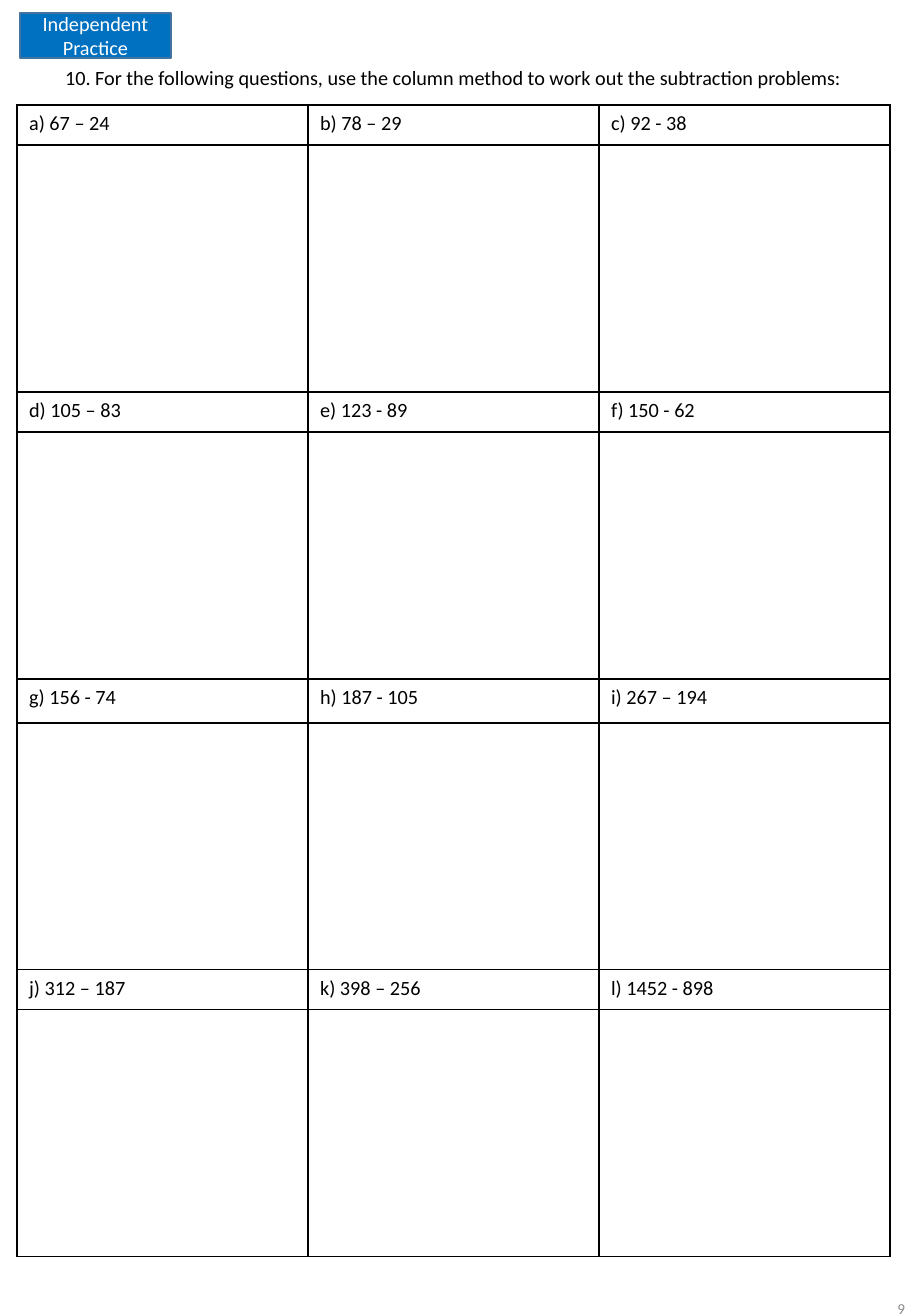
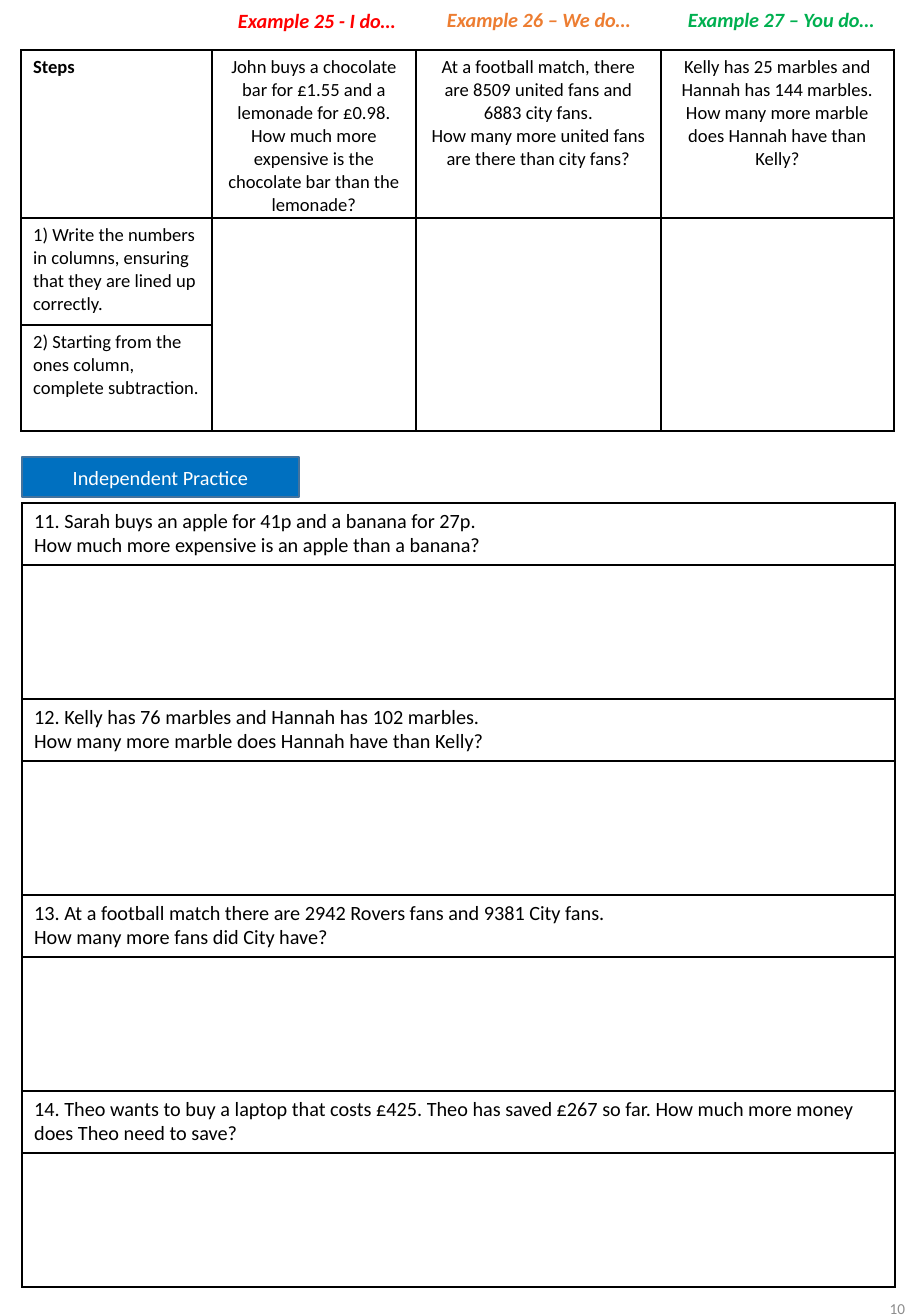
"""Builds two subtraction worksheets: column method practice and word problems."""
from lxml import etree
from pptx import Presentation
from pptx import util as u
from pptx.dml.color import RGBColor
from pptx.enum import shapes, text
from pptx.oxml import ns

PX = 7526
FONT = "Calibri"
BLACK, WHITE, GREY = "000000", "FFFFFF", "8C8C8C"
BLUE, BLUE_EDGE = "0070C0", "43739E"
RED, ORANGE, GREEN = "FF0000", "ED7D31", "00B050"
LEFT, CENTER, RIGHT = text.PP_ALIGN.LEFT, text.PP_ALIGN.CENTER, text.PP_ALIGN.RIGHT


def write(frame, words, size=12, color=BLACK, bold=False, italic=False, align=LEFT):
    """Write one paragraph per line of words."""
    frame.word_wrap = True
    for index, line in enumerate(words.split("\n")):
        paragraph = frame.paragraphs[0] if index == 0 else frame.add_paragraph()
        paragraph.alignment = align
        run = paragraph.add_run()
        run.text = line
        font = run.font
        font.name, font.size = FONT, u.Pt(size)
        font.bold, font.italic = bold, italic
        font.color.rgb = RGBColor.from_string(color)


def add_grid(slide, left, top, widths, heights, open_rows=0):
    """Add a white table ruled in black; open rows keep only their bottom rule."""
    frame = slide.shapes.add_table(len(heights), len(widths), left * PX, top * PX,
                                   sum(widths) * PX, sum(heights) * PX)
    table = frame.table
    table.first_row = table.horz_banding = False
    for column, width in zip(table.columns, widths):
        column.width = width * PX
    for number, (row, height) in enumerate(zip(table.rows, heights)):
        row.height = height * PX
        for cell in row.cells:
            properties = cell._tc.get_or_add_tcPr()
            for side in "LRTB":
                rule = etree.SubElement(properties, ns.qn("a:ln" + side), w=str(u.Pt(1)))
                if number < open_rows and side != "B":
                    etree.SubElement(rule, ns.qn("a:noFill"))
                else:
                    fill = etree.SubElement(rule, ns.qn("a:solidFill"))
                    etree.SubElement(fill, ns.qn("a:srgbClr"), val=BLACK)
            cell.fill.solid()
            cell.fill.fore_color.rgb = RGBColor.from_string(WHITE)
    return table


presentation = Presentation()
presentation.slide_width, presentation.slide_height = 911 * PX, 1316 * PX

slides = []
for page, button_box in (("9", (20, 13, 151, 45)), ("10", (22, 457, 277, 40))):
    slide = presentation.slides.add_slide(presentation.slide_layouts[6])
    slides.append(slide)

    page_number = slide.shapes.add_textbox(712 * PX, 1273 * PX, 205 * PX, 70 * PX)
    page_number.text_frame.vertical_anchor = text.MSO_ANCHOR.MIDDLE
    write(page_number.text_frame, page, size=9, color=GREY, align=RIGHT)

    button = slide.shapes.add_shape(shapes.MSO_SHAPE.RECTANGLE,
                                    *(length * PX for length in button_box))
    button.shadow.inherit = False
    button.fill.solid()
    button.fill.fore_color.rgb = RGBColor.from_string(BLUE)
    button.line.color.rgb = RGBColor.from_string(BLUE_EDGE)
    button.line.width = u.Pt(1)
    button.text_frame.vertical_anchor = text.MSO_ANCHOR.MIDDLE
    write(button.text_frame, "Independent Practice", color=WHITE, align=CENTER)

column_slide, word_slide = slides

subtractions = [
    ("a) 67 – 24", "b) 78 – 29", "c) 92 - 38"),
    ("d) 105 – 83", "e) 123 - 89", "f) 150 - 62"),
    ("g) 156 - 74", "h) 187 - 105", "i) 267 – 194"),
    ("j) 312 – 187", "k) 398 – 256", "l) 1452 - 898"),
]
heights = [45]
for label_height in (40, 40, 44, 40):
    heights += [label_height, 247]
practice = add_grid(column_slide, 17, 60, [291] * 3, heights, open_rows=1)
practice.cell(0, 0).merge(practice.cell(0, 2))
write(practice.cell(0, 0).text_frame,
      "10. For the following questions, use the column method to work out "
      "the subtraction problems:", align=CENTER)
for index, labels in enumerate(subtractions):
    for column, label in enumerate(labels):
        write(practice.cell(1 + 2 * index, column).text_frame, label)

problems = [
    "11. Sarah buys an apple for 41p and a banana for 27p.\n"
    "How much more expensive is an apple than a banana?",
    "12. Kelly has 76 marbles and Hannah has 102 marbles.\n"
    "How many more marble does Hannah have than Kelly?",
    "13. At a football match there are 2942 Rovers fans and 9381 City fans.\n"
    "How many more fans did City have?",
    "14. Theo wants to buy a laptop that costs £425. Theo has saved £267 so far. "
    "How much more money does Theo need to save?",
]
problem_grid = add_grid(word_slide, 22, 503, [873], [62, 134] * len(problems))
for index, problem in enumerate(problems):
    write(problem_grid.cell(2 * index, 0).text_frame, problem)

examples = [
    "John buys a chocolate bar for £1.55 and a lemonade for £0.98.\n"
    "How much more expensive is the chocolate bar than the lemonade?",
    "At a football match, there are 8509 united fans and 6883 city fans.\n"
    "How many more united fans are there than city fans?",
    "Kelly has 25 marbles and Hannah has 144 marbles.\n"
    "How many more marble does Hannah have than Kelly?",
]
steps = [
    "1) Write the numbers in columns, ensuring that they are lined up correctly.",
    "2) Starting from the ones column, complete subtraction.",
]
example_grid = add_grid(word_slide, 21, 50, [191, 204, 245, 233], [168, 107, 106])
write(example_grid.cell(0, 0).text_frame, "Steps", size=11, bold=True)
for column, example in enumerate(examples, 1):
    example_grid.cell(0, column).margin_bottom = 0
    write(example_grid.cell(0, column).text_frame, example, size=11, align=CENTER)
    example_grid.cell(1, column).merge(example_grid.cell(2, column))
for row, step in enumerate(steps, 1):
    write(example_grid.cell(row, 0).text_frame, step, size=11)

headings = [
    ("Example 25 - I do…", RED, 226, 2, 187),
    ("Example 26 – We do…", ORANGE, 435, 1, 219),
    ("Example 27 – You do…", GREEN, 676, 1, 219),
]
for words, color, left, top, width in headings:
    heading = word_slide.shapes.add_textbox(left * PX, top * PX, width * PX, 37 * PX)
    write(heading.text_frame, words, color=color, bold=True, italic=True)

presentation.save("out.pptx")
